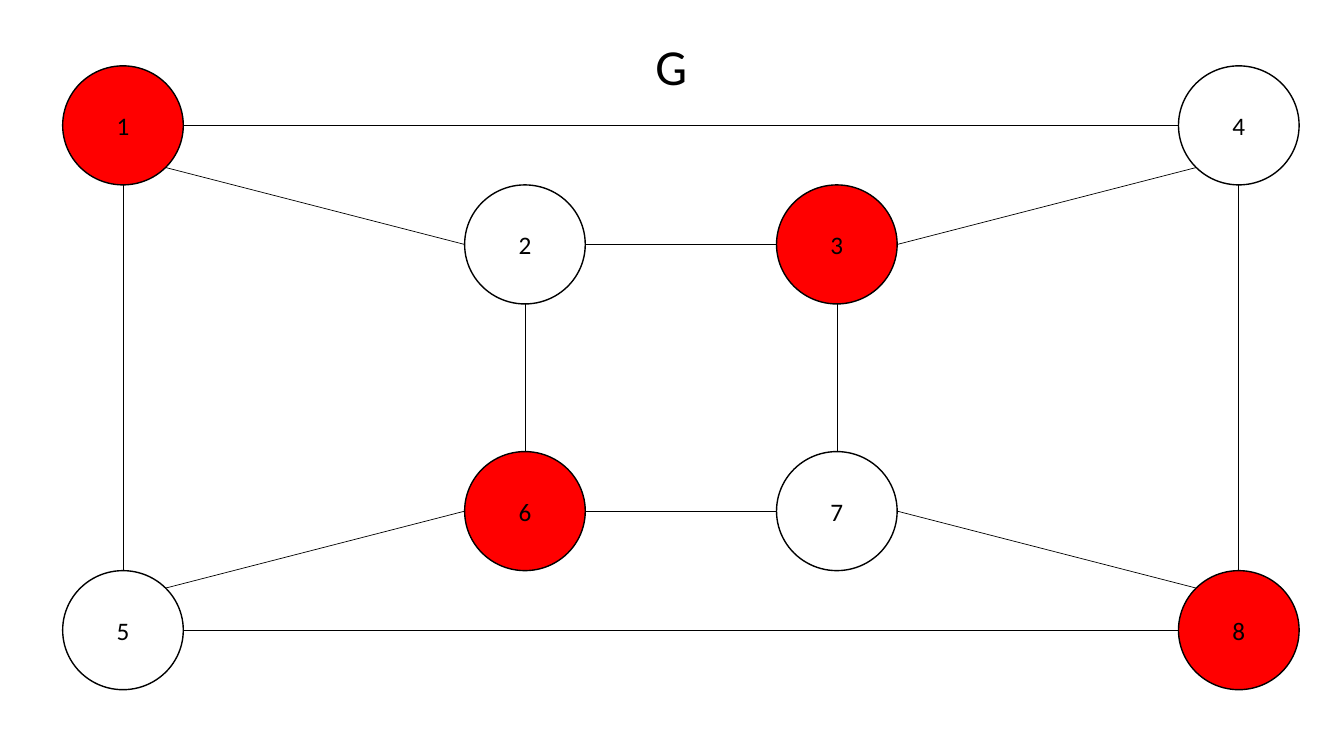
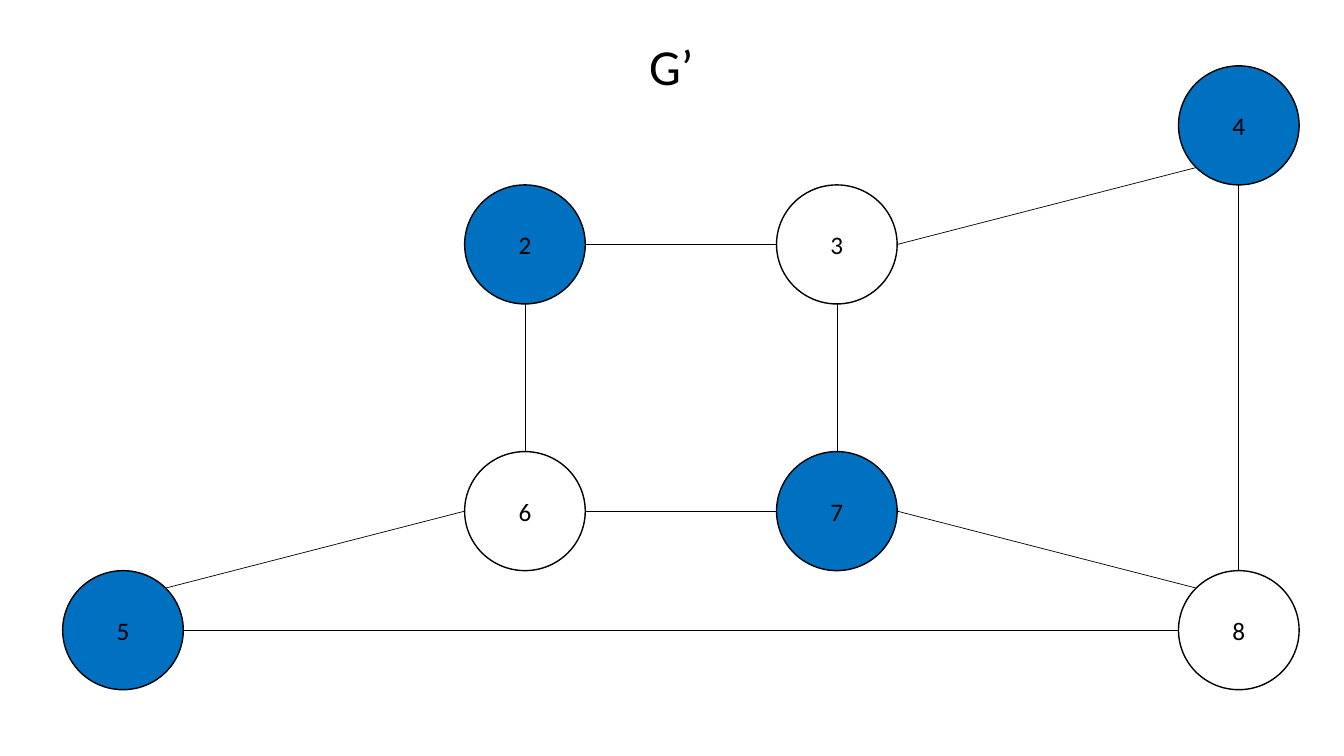
import math
from lxml import etree
from pptx import Presentation
from pptx.dml.color import RGBColor
from pptx.enum import shapes as kinds, text as txt
from pptx.oxml.ns import qn
from pptx.util import Cm, Pt

BLACK = RGBColor(0, 0, 0)
WHITE = RGBColor(255, 255, 255)
RED = RGBColor(255, 0, 0)
BLUE = RGBColor(0, 0x70, 0xC0)
FONT = "Calibri"

WIDE, HIGH = 3.04, 3.0
MID_X, MID_Y = 17.16, 9.52
OUTER = (14.06, 6.36)
INNER = (3.93, 3.36)
NODES = {
    "1": (OUTER, -1, -1), "4": (OUTER, 1, -1),
    "5": (OUTER, -1, 1), "8": (OUTER, 1, 1),
    "2": (INNER, -1, -1), "3": (INNER, 1, -1),
    "6": (INNER, -1, 1), "7": (INNER, 1, 1),
}

TOP, LEFT, LOW_LEFT, LOW, LOW_RIGHT, RIGHT = 0, 2, 3, 4, 5, 6
TOP_LEFT, TOP_RIGHT = 1, 7
EDGES = [
    ("1", RIGHT, "4", LEFT), ("5", RIGHT, "8", LEFT),
    ("1", LOW, "5", TOP), ("4", LOW, "8", TOP),
    ("1", LOW_RIGHT, "2", LEFT), ("2", RIGHT, "3", LEFT),
    ("3", RIGHT, "4", LOW_LEFT), ("2", LOW, "6", TOP),
    ("6", RIGHT, "7", LEFT), ("3", LOW, "7", TOP),
    ("5", TOP_RIGHT, "6", LEFT), ("7", RIGHT, "8", TOP_LEFT),
]


def style(para, size):
    para.alignment = txt.PP_ALIGN.CENTER
    para.font.name = FONT
    para.font.size = Pt(size)
    para.font.color.rgb = BLACK


def center(name):
    (dx, dy), col, row = NODES[name]
    return MID_X + col * dx, MID_Y + row * dy


def site(name, index):
    x, y = center(name)
    turn = math.radians(90 + 45 * index)
    return (Cm(round(x + WIDE / 2 * math.cos(turn), 2)),
            Cm(round(y - HIGH / 2 * math.sin(turn), 2)))


def add_title(slide, label, width):
    title = slide.shapes.title
    title.left, title.top = Cm(16.92 - width / 2), Cm(0.76)
    title.width, title.height = Cm(width), Cm(1.8)
    frame = title.text_frame
    frame.text = label
    frame.word_wrap = False
    frame.auto_size = txt.MSO_AUTO_SIZE.SHAPE_TO_FIT_TEXT
    frame.vertical_anchor = txt.MSO_ANCHOR.TOP
    style(frame.paragraphs[0], 36)


def add_node(slide, name, fill):
    x, y = center(name)
    node = slide.shapes.add_shape(
        kinds.MSO_SHAPE.OVAL, Cm(x - WIDE / 2), Cm(y - HIGH / 2), Cm(WIDE), Cm(HIGH))
    node.shadow.inherit = False
    if fill is None:
        node.fill.background()
    else:
        node.fill.solid()
        node.fill.fore_color.rgb = fill
    node.line.color.rgb = BLACK
    node.line.width = Pt(1)
    frame = node.text_frame
    frame.text = name
    frame.vertical_anchor = txt.MSO_ANCHOR.MIDDLE
    style(frame.paragraphs[0], 18)
    return node


def add_edge(slide, nodes, start, exit_at, end, enter_at):
    edge = slide.shapes.add_connector(
        kinds.MSO_CONNECTOR.STRAIGHT, *site(start, exit_at), *site(end, enter_at))
    edge.line.color.rgb = BLACK
    edge.line.width = Pt(0.5)
    etree.SubElement(edge.element.spPr, qn("a:effectLst"))
    glue = edge.element.nvCxnSpPr.cNvCxnSpPr
    for tag, name, index in (("a:stCxn", start, exit_at), ("a:endCxn", end, enter_at)):
        etree.SubElement(glue, qn(tag), id=str(nodes[name].shape_id), idx=str(index))


def add_graph(deck, label, width, names, marked, tint, plain):
    slide = deck.slides.add_slide(deck.slide_layouts[5])
    add_title(slide, label, width)
    nodes = {name: add_node(slide, name, tint if name in marked else plain)
             for name in names}
    for start, exit_at, end, enter_at in EDGES:
        if start in nodes and end in nodes:
            add_edge(slide, nodes, start, exit_at, end, enter_at)


def main():
    deck = Presentation()
    deck.slide_width, deck.slide_height = Cm(33.87), Cm(19.05)
    add_graph(deck, "G", 1.32, list(NODES), "1368", RED, WHITE)
    rest = [name for name in NODES if name != "1"]
    add_graph(deck, "G’", 1.65, rest, "2457", BLUE, None)
    deck.save("out.pptx")


main()
